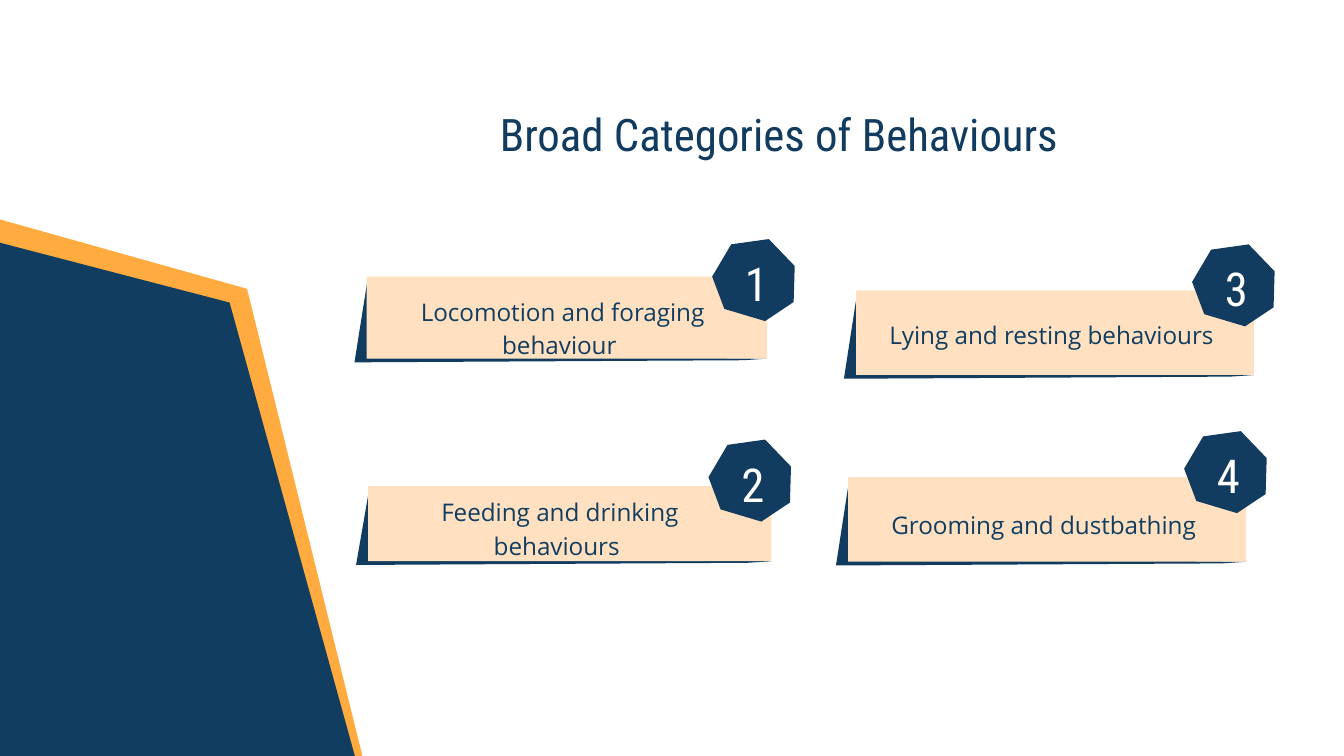
from pptx import Presentation
from pptx.dml.color import RGBColor
from pptx.enum.shapes import MSO_SHAPE as Shape
from pptx.enum.text import MSO_ANCHOR as Anchor, PP_ALIGN as Align
from pptx.util import Cm, Pt

NAVY = RGBColor(0x11, 0x3D, 0x60)
DARK_BLUE = RGBColor(0x12, 0x3C, 0x5F)
ORANGE = RGBColor(0xFF, 0xAB, 0x40)
PEACH = RGBColor(0xFF, 0xE1, 0xC1)
WHITE = RGBColor(0xFF, 0xFF, 0xFF)
HEADING_FONT = "Roboto Condensed"
BODY_FONT = "Open Sans"

presentation = Presentation()
presentation.slide_width = Cm(25.4)
presentation.slide_height = Cm(14.29)
slide = presentation.slides.add_slide(presentation.slide_layouts[6])


def add_polygon(points, color, left=0, top=0):
    corners = [(Cm(left + x), Cm(top + y)) for x, y in points]
    builder = slide.shapes.build_freeform(*corners[0])
    builder.add_line_segments(corners[1:], close=True)
    shape = builder.convert_to_shape()
    shape.shadow.inherit = False
    shape.fill.solid()
    shape.fill.fore_color.rgb = color
    shape.line.fill.background()


def add_text(text, left, top, width, height, font_name, size, color, align=Align.CENTER, spacing=None):
    box = slide.shapes.add_textbox(Cm(left), Cm(top), Cm(width), Cm(height))
    frame = box.text_frame
    frame.word_wrap = True
    frame.margin_left = frame.margin_right = Cm(0.25)
    frame.margin_top = frame.margin_bottom = Cm(0.25)
    frame.text = text
    paragraph = frame.paragraphs[0]
    paragraph.alignment = align
    paragraph.line_spacing = spacing
    font = paragraph.runs[0].font
    font.name = font_name
    font.size = Pt(size)
    font.color.rgb = color
    return frame


# Corner decoration
add_polygon([(-0.03, 4.14), (4.67, 5.46), (6.86, 14.33), (0, 14.27)], ORANGE)
add_polygon([(-0.15, 4.55), (4.34, 5.72), (6.71, 14.3), (-0.05, 14.35)], NAVY)

# Title
title = add_text("Broad Categories of Behaviours ", 8.56, 1.73, 12.52, 1.6, HEADING_FONT, 24, DARK_BLUE)
title.vertical_anchor = Anchor.MIDDLE

# Cards: text, panel (left, top, width, height), label corner, badge corner
cards = [
    ("Locomotion and foraging behaviour ", (6.93, 5.23, 7.57, 1.55), (7.14, 5.28), (13.46, 4.52)),
    ("Feeding and drinking behaviours ", (6.96, 9.19, 7.62, 1.42), (7.09, 9.07), (13.39, 8.31)),
    ("Lying and resting behaviours", (16.18, 5.49, 7.52, 1.6), (16.38, 5.72), (22.53, 4.62)),
    ("Grooming and dustbathing", (16.03, 9.02, 7.52, 1.6), (16.23, 9.32), (22.38, 8.15)),
]
HEPTAGON = [(0.36, 0.1), (0, 0.71), (0.23, 1.32), (1, 1.55), (1.54, 1.19), (1.56, 0.51), (1.07, 0)]

for number, (label, panel, label_corner, badge_corner) in enumerate(cards, start=1):
    left, top, width, height = panel

    # Folded edge behind the panel
    edge = [(width, height), (width - 0.45, height + 0.03), (-0.23, height + 0.07),
            (0.02, 0.05), (0.36, height - 0.07)]
    add_polygon(edge, DARK_BLUE, left, top)

    # Panel and its label
    rectangle = slide.shapes.add_shape(Shape.RECTANGLE, *[Cm(length) for length in panel])
    rectangle.shadow.inherit = False
    rectangle.fill.solid()
    rectangle.fill.fore_color.rgb = PEACH
    rectangle.line.fill.background()
    add_text(label, *label_corner, 6.98, 1.04, BODY_FONT, 13, NAVY, spacing=1.15)

    # Numbered badge
    badge_left, badge_top = badge_corner
    add_polygon(HEPTAGON, DARK_BLUE, badge_left, badge_top)
    add_text(str(number), badge_left + 0.37, badge_top + 0.05, 0.99, 1.4,
             HEADING_FONT, 25, WHITE, align=Align.LEFT)

presentation.save("out.pptx")
